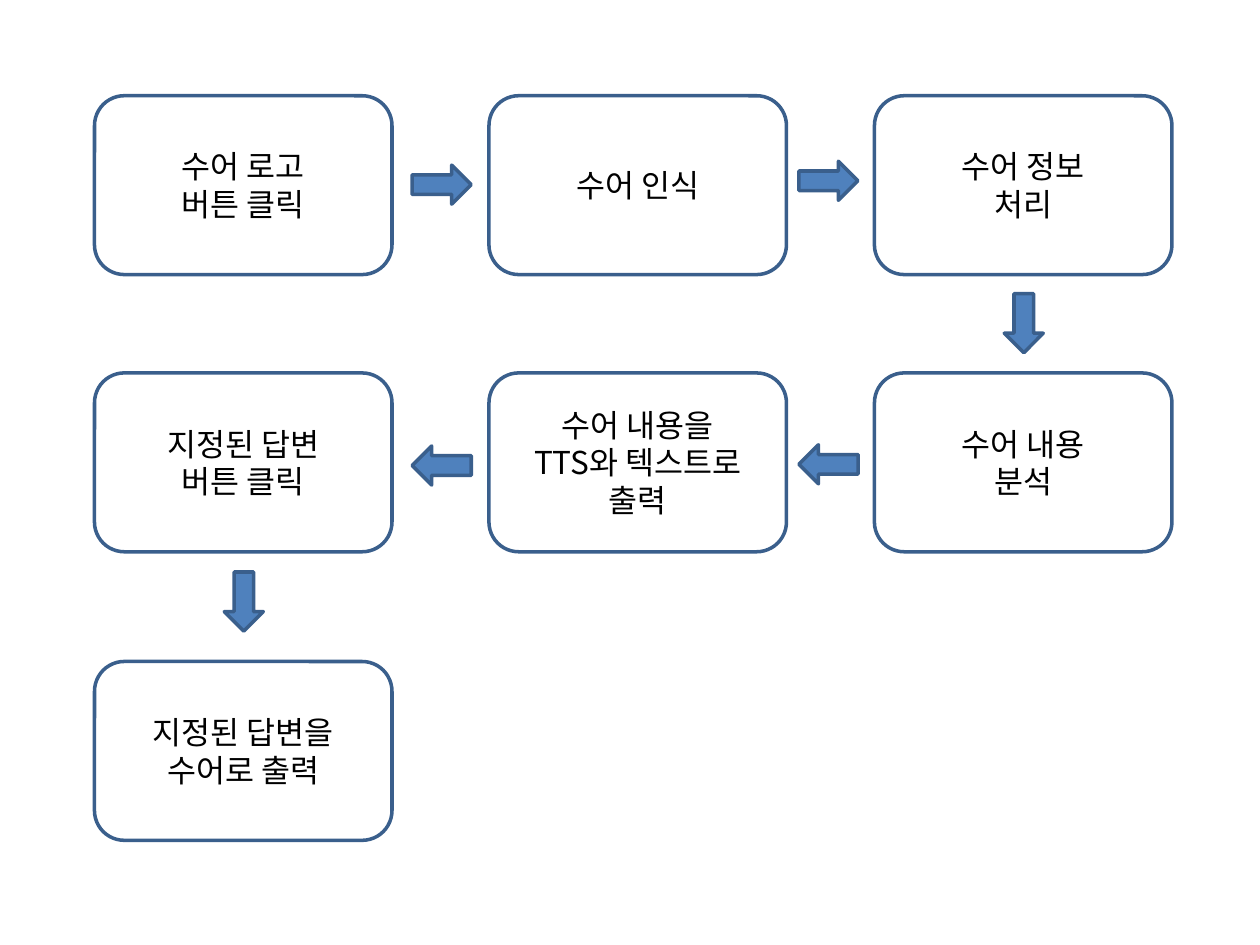
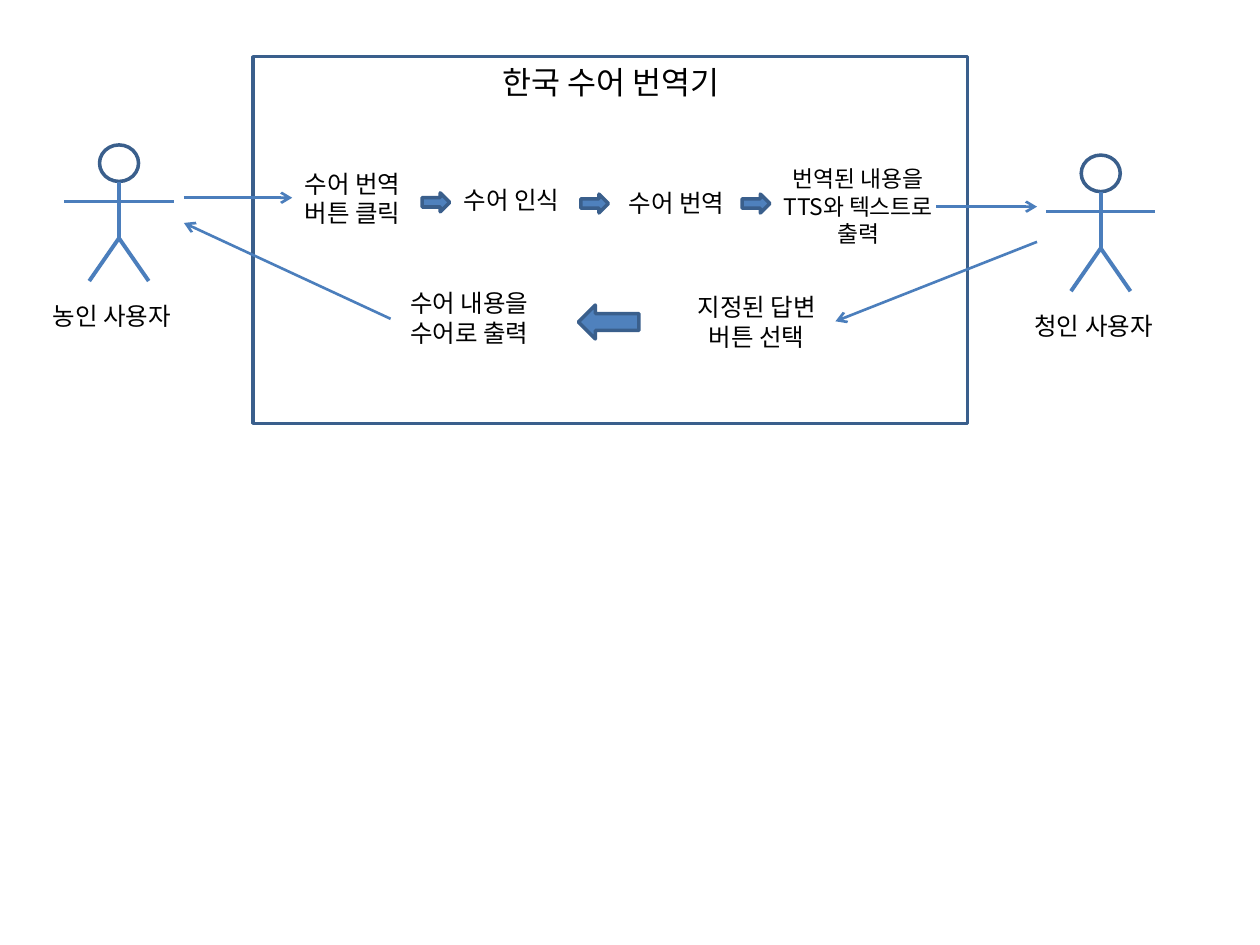
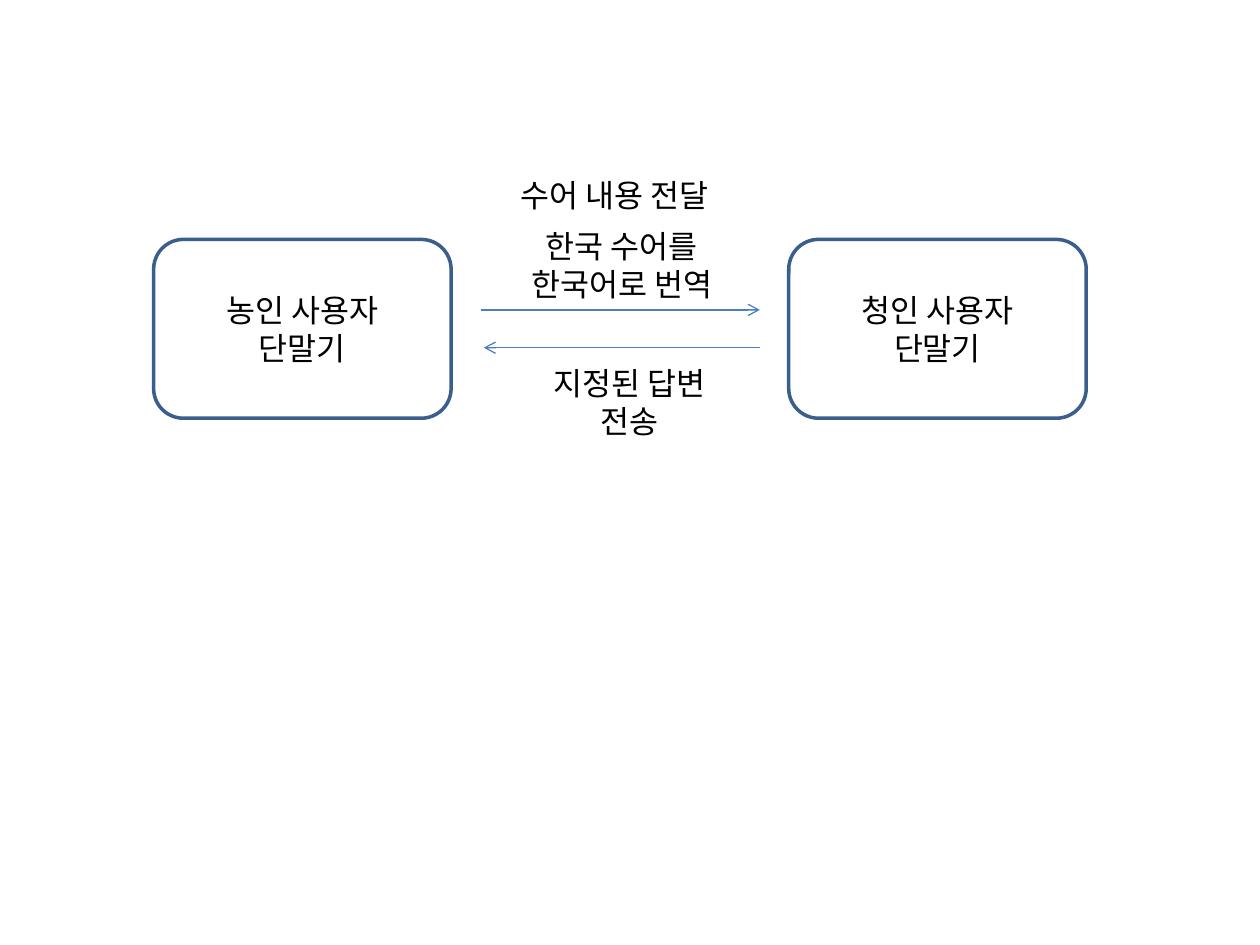
from dataclasses import dataclass

from lxml.etree import SubElement
from pptx import Presentation
from pptx.dml.color import RGBColor
from pptx.enum.shapes import MSO_CONNECTOR, MSO_SHAPE
from pptx.enum.text import MSO_ANCHOR, MSO_AUTO_SIZE, PP_ALIGN
from pptx.oxml.ns import qn
from pptx.util import Pt


@dataclass(frozen=True)
class Theme:
    font: str = "Noto Sans CJK KR"
    text: RGBColor = RGBColor(0x00, 0x00, 0x00)
    paper: RGBColor = RGBColor(0xFF, 0xFF, 0xFF)
    accent: RGBColor = RGBColor(0x4F, 0x81, 0xBD)
    outline: RGBColor = RGBColor(0x3A, 0x5F, 0x8C)
    stroke: RGBColor = RGBColor(0x4B, 0x7E, 0xBC)
    body_size: float = 18
    label_size: float = 14
    small_size: float = 13
    outline_width: float = 2
    limb_width: float = 2.25
    line_width: float = 1.5
    thin_width: float = 0.75


THEME = Theme()
STEP_SIZE = (170, 102.2)
LINE_HEIGHT = {18: 21.6, 14: 16.9, 13: 15.9}


# Text
def write_text(frame, text, *, size=THEME.body_size, align=PP_ALIGN.CENTER,
               anchor=MSO_ANCHOR.TOP, wrap=True):
    frame.word_wrap = wrap
    frame.vertical_anchor = anchor
    for index, line in enumerate(text.split("\n")):
        paragraph = frame.add_paragraph() if index else frame.paragraphs[0]
        paragraph.alignment = align
        run = paragraph.add_run()
        run.text = line
        run.font.size = Pt(size)
        run.font.name = THEME.font
        run.font.color.rgb = THEME.text
        # Korean glyphs take the East Asian typeface
        SubElement(run.font._element, qn("a:ea"), typeface=THEME.font)


def add_label(slide, text, left, top, width, height, *, wrap=False, **text_format):
    label = slide.shapes.add_textbox(Pt(left), Pt(top), Pt(width), Pt(height))
    write_text(label.text_frame, text, wrap=wrap, **text_format)
    label.text_frame.auto_size = MSO_AUTO_SIZE.SHAPE_TO_FIT_TEXT


# Shapes
def add_outlined(slide, kind, left, top, width, height, fill=THEME.paper):
    shape = slide.shapes.add_shape(kind, Pt(left), Pt(top), Pt(width), Pt(height))
    shape.shadow.inherit = False
    shape.fill.solid()
    shape.fill.fore_color.rgb = fill
    shape.line.color.rgb = THEME.outline
    shape.line.width = Pt(THEME.outline_width)
    return shape


def add_step(slide, text, left, top):
    step = add_outlined(slide, MSO_SHAPE.ROUNDED_RECTANGLE, left, top, *STEP_SIZE)
    write_text(step.text_frame, text, anchor=MSO_ANCHOR.MIDDLE)


def add_block_arrow(slide, center_x, center_y, width, height, rotation=0):
    arrow = add_outlined(slide, MSO_SHAPE.RIGHT_ARROW, center_x - width / 2,
                         center_y - height / 2, width, height, THEME.accent)
    arrow.rotation = rotation


def add_line(slide, start, end, *, width=THEME.line_width, arrow=False):
    line = slide.shapes.add_connector(
        MSO_CONNECTOR.STRAIGHT, *(Pt(value) for value in (*start, *end)))
    line.line.color.rgb = THEME.stroke
    line.line.width = Pt(width)
    if arrow:
        SubElement(line.line._get_or_add_ln(), qn("a:tailEnd"), type="arrow")
    SubElement(line._element.spPr, qn("a:effectLst"))


def add_person(slide, name, center_x, top):
    head_width, head_height = 22.3, 20.9
    add_outlined(slide, MSO_SHAPE.OVAL, center_x - head_width / 2, top,
                 head_width, head_height)
    hip = (center_x, top + 53.3)
    add_line(slide, (center_x, top + 21.3), (center_x, top + 55.3),
             width=THEME.limb_width)
    for side in (1, -1):
        add_line(slide, hip, (center_x + side * 17, top + 77.8),
                 width=THEME.limb_width)
    add_line(slide, (center_x - 31.2, top + 32.4), (center_x + 31.2, top + 32.4))
    add_label(slide, name, center_x - 45, top + 85.6, 90, 24.5,
              size=THEME.label_size, align=PP_ALIGN.LEFT)


# Slide 1: flow of the app
def build_flow(slide):
    columns = (54, 279.4, 499.7)
    rows = (54.7, 213.1, 378)
    steps = (
        ("수어 로고\n버튼 클릭", "수어 인식", "수어 정보\n처리"),
        ("지정된 답변\n버튼 클릭", "수어 내용을\nTTS와 텍스트로 출력", "수어 내용\n분석"),
        ("지정된 답변을\n수어로 출력",),
    )
    for top, row in zip(rows, steps):
        for left, text in zip(columns, row):
            add_step(slide, text, left, top)

    arrows = ((252.4, 105.5, 0), (473.4, 103.3, 0), (585, 184.7, 90),
              (473.4, 265.3, 180), (252.4, 266, 180), (139.3, 343.8, 90))
    for center_x, center_y, rotation in arrows:
        add_block_arrow(slide, center_x, center_y, 33.8, 22.3, rotation)


# Slide 2: translator between two users
def build_translator(slide):
    add_outlined(slide, MSO_SHAPE.RECTANGLE, 144.7, 32.4, 408.2, 209.5)
    add_label(slide, "한국 수어 번역기", 268.6, 32.4, 160.6, 28.8, wrap=True)

    left, center = PP_ALIGN.LEFT, PP_ALIGN.CENTER
    stages = (
        ("수어 번역\n버튼 클릭", 167, 92.9, 76.3, THEME.label_size, left),
        ("수어 인식", 257.8, 102.2, 76.3, THEME.label_size, left),
        ("수어 번역", 348.5, 103.7, 76.3, THEME.label_size, center),
        ("번역된 내용을\nTTS와 텍스트로\n출력", 437, 90.7, 106.6, THEME.small_size, center),
        ("지정된 답변\n버튼 선택", 387.4, 163.4, 90, THEME.label_size, center),
        ("수어 내용을\n수어로 출력", 223.2, 161.3, 90, THEME.label_size, center),
    )
    for text, x, y, width, size, align in stages:
        height = 7.2 + LINE_HEIGHT[size] * len(text.split("\n"))
        add_label(slide, text, x, y, width, height, size=size, align=align)

    for center_x, center_y in ((249.1, 115.6), (339.8, 116.3), (432, 116.3)):
        add_block_arrow(slide, center_x, center_y, 15.8, 10.8)
    add_block_arrow(slide, 347.8, 184, 34.6, 19.4, 180)

    add_person(slide, "농인 사용자", 68, 82.8)
    add_person(slide, "청인 사용자", 629, 88.6)

    messages = (((105.1, 113), (167, 113)), ((535, 118.1), (592.6, 118.1)),
                ((223.2, 182.2), (105.1, 127.4)), ((592.6, 138.2), (477.4, 183.6)))
    for start, end in messages:
        add_line(slide, start, end, arrow=True)


# Slide 3: exchange between two devices
def build_exchange(slide):
    add_step(slide, "농인 사용자\n단말기", 87.8, 136.8)
    add_step(slide, "청인 사용자\n단말기", 450.7, 136.8)
    for start, end in (((275, 177.1), (434.2, 177.1)),
                       ((434.2, 198.7), (276.5, 198.7))):
        add_line(slide, start, end, width=THEME.thin_width, arrow=True)
    add_label(slide, "수어 내용 전달", 290.2, 97.2, 136.8, 28.8, align=PP_ALIGN.LEFT)
    add_label(slide, "한국 수어를\n한국어로 번역", 290.2, 126, 130.3, 51)
    add_label(slide, "지정된 답변\n전송", 303.8, 204.5, 111.6, 51)


def main():
    deck = Presentation()
    deck.slide_width, deck.slide_height = Pt(720), Pt(540)
    blank = deck.slide_layouts[6]
    for build in (build_flow, build_translator, build_exchange):
        build(deck.slides.add_slide(blank))
    deck.save("out.pptx")


main()
